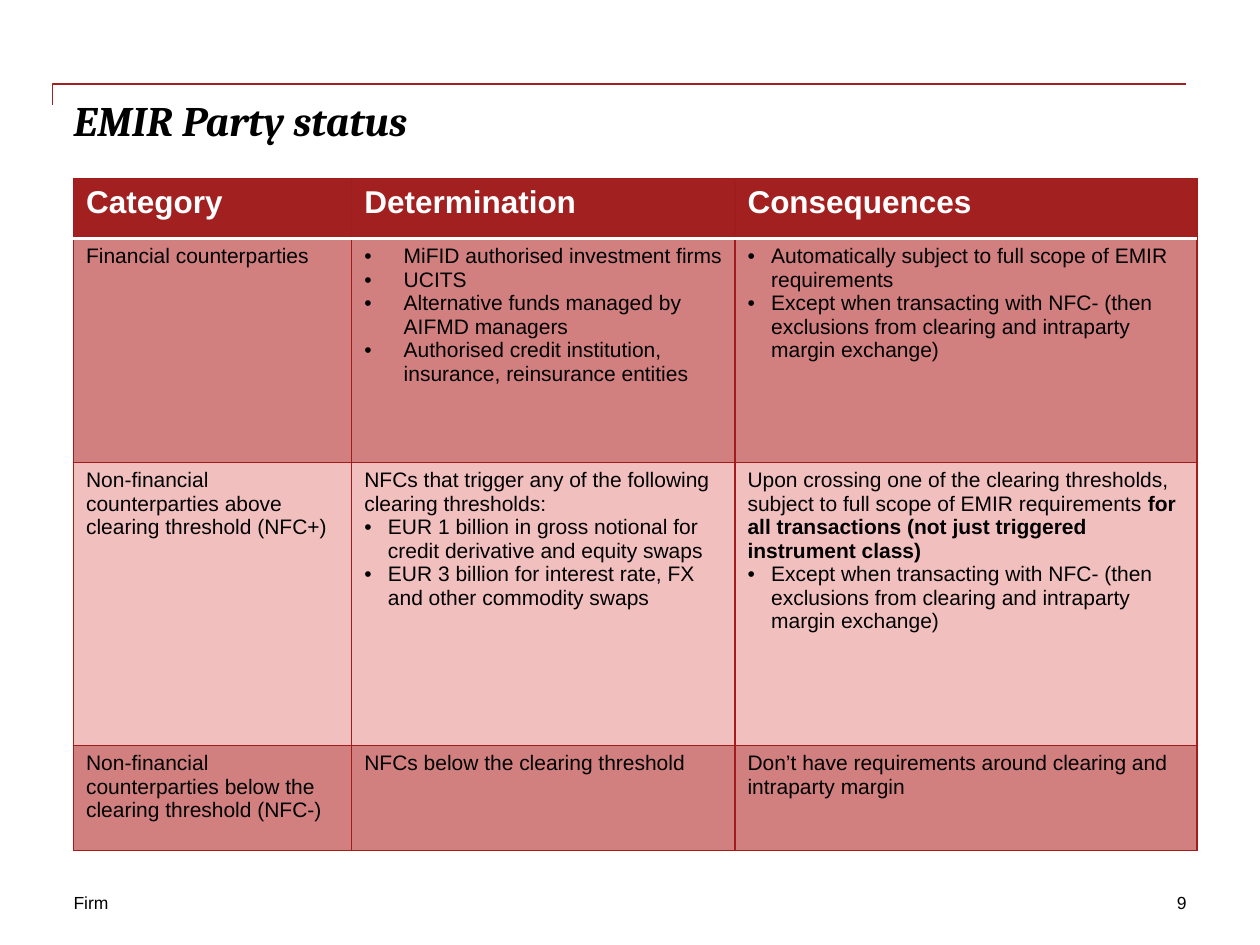
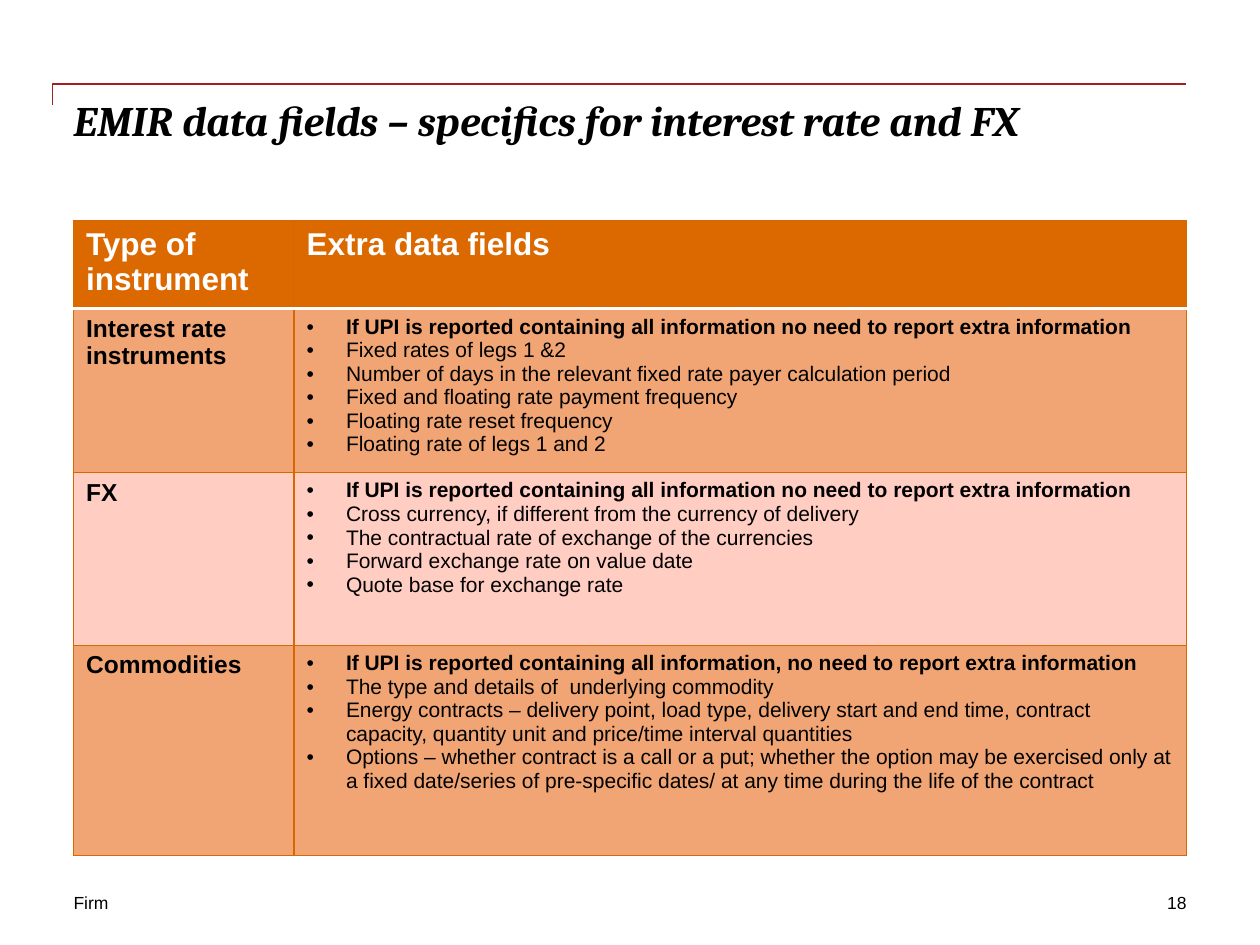
from lxml.etree import SubElement
from pptx import Presentation
from pptx.dml.color import RGBColor
from pptx.enum.text import PP_ALIGN
from pptx.oxml.ns import qn
from pptx.util import Pt

BLACK = RGBColor(0x00, 0x00, 0x00)
WHITE = RGBColor(0xFF, 0xFF, 0xFF)
RED = RGBColor(0xA3, 0x20, 0x20)
RED_BORDER = RGBColor(0xA3, 0x1C, 0x1C)
RED_BAND = RGBColor(0xD2, 0x7F, 0x7F)
RED_TINT = RGBColor(0xF2, 0xBF, 0xBF)
ORANGE = RGBColor(0xDC, 0x69, 0x00)
ORANGE_BORDER = RGBColor(0xD7, 0x67, 0x00)
ORANGE_BAND = RGBColor(0xF1, 0xA5, 0x74)
ORANGE_TINT = RGBColor(0xFF, 0xCD, 0xC2)

BODY_FONT = "Arial"
TITLE_FONT = "Cambria"
FOOTER = "Firm"
LEFT = 42
FLUSH, NARROW, WIDE = 0, 13.5, 22.5
UPI_NOTE = "If UPI is reported containing all information no need to report extra information"
NFC_EXCEPTION = (
    "Except when transacting with NFC- (then exclusions from clearing and intraparty margin exchange)"
)

# Each cell paragraph is (bullet indent, plain text, bold text).
PARTY_ROWS = [
    ("Financial counterparties", [
        [
            (WIDE, "MiFID authorised investment firms", ""),
            (WIDE, "UCITS", ""),
            (WIDE, "Alternative funds managed by AIFMD managers", ""),
            (WIDE, "Authorised credit institution, insurance, reinsurance entities", ""),
        ],
        [
            (NARROW, "Automatically subject to full scope of EMIR requirements", ""),
            (NARROW, NFC_EXCEPTION, ""),
        ],
    ]),
    ("Non-financial counterparties above clearing threshold (NFC+)", [
        [
            (FLUSH, "NFCs that trigger any of the following clearing thresholds:", ""),
            (NARROW, "EUR 1 billion in gross notional for credit derivative and equity swaps", ""),
            (NARROW, "EUR 3 billion for interest rate, FX and other commodity swaps", ""),
        ],
        [
            (FLUSH,
             "Upon crossing one of the clearing thresholds, subject to full scope of EMIR requirements ",
             "for all transactions (not just triggered instrument class)"),
            (NARROW, NFC_EXCEPTION, ""),
        ],
    ]),
    ("Non-financial counterparties below the clearing threshold (NFC-)", [
        [(FLUSH, "NFCs below the clearing threshold", "")],
        [(FLUSH, "Don’t have requirements around clearing and intraparty margin", "")],
    ]),
]

INSTRUMENT_ROWS = [
    ("Interest rate instruments", [[
        (WIDE, "", UPI_NOTE),
        (WIDE, "Fixed rates of legs 1 &2", ""),
        (WIDE, "Number of days in the relevant fixed rate payer calculation period", ""),
        (WIDE, "Fixed and floating rate payment frequency", ""),
        (WIDE, "Floating rate reset frequency", ""),
        (WIDE, "Floating rate of legs 1 and 2", ""),
    ]]),
    ("FX", [[
        (WIDE, "", UPI_NOTE),
        (WIDE, "Cross currency, if different from the currency of delivery", ""),
        (WIDE, "The contractual rate of exchange of the currencies", ""),
        (WIDE, "Forward exchange rate on value date", ""),
        (WIDE, "Quote base for exchange rate", ""),
    ]]),
    ("Commodities", [[
        (WIDE, "", UPI_NOTE.replace("information no", "information, no")),
        (WIDE, "The type and details of  underlying commodity", ""),
        (WIDE, "Energy contracts – delivery point, load type, delivery start and end time, "
               "contract capacity, quantity unit and price/time interval quantities", ""),
        (WIDE, "Options – whether contract is a call or a put; whether the option may be exercised "
               "only at a fixed date/series of pre-specific dates/ at any time during the life of "
               "the contract", ""),
    ]]),
]

SLIDES = [
    {
        "title": "EMIR Party status",
        "number": "9",
        "headings": ["Category", "Determination", "Consequences"],
        "rows": PARTY_ROWS,
        "label": (12, False),
        "top": 102,
        "widths": [159, 219, 264],
        "heights": [34.25, 128, 161.75, 60],
        "colors": (RED, RED_BORDER, RED_BAND, RED_TINT),
    },
    {
        "title": "EMIR data fields – specifics for interest rate and FX",
        "number": "18",
        "headings": ["Type of instrument", "Extra data fields"],
        "rows": INSTRUMENT_ROWS,
        "label": (14, True),
        "top": 126,
        "widths": [126, 510],
        "heights": [49.5, 91.75, 98.75, 120],
        "colors": (ORANGE, ORANGE_BORDER, ORANGE_BAND, ORANGE_TINT),
    },
]


def add_run(paragraph, text, size, color=BLACK, bold=False, italic=False, name=BODY_FONT):
    run = paragraph.add_run()
    run.text = text
    run.font.name = name
    run.font.size = Pt(size)
    run.font.bold = bold
    run.font.italic = italic
    run.font.color.rgb = color


def add_text(slide, left, top, width, height, text, size, align=PP_ALIGN.LEFT, **style):
    box = slide.shapes.add_textbox(Pt(left), Pt(top), Pt(width), Pt(height))
    frame = box.text_frame
    frame.word_wrap = True
    frame.margin_left = frame.margin_top = frame.margin_right = frame.margin_bottom = 0
    paragraph = frame.paragraphs[0]
    paragraph.alignment = align
    add_run(paragraph, text, size, **style)


def add_frame(slide, title, number):
    builder = slide.shapes.build_freeform(Pt(30), Pt(60))
    builder.add_line_segments([(Pt(30), Pt(48)), (Pt(678), Pt(48))], close=False)
    bracket = builder.convert_to_shape()
    bracket.shadow.inherit = False
    bracket.fill.background()
    bracket.line.color.rgb = RED
    bracket.line.width = Pt(1)
    add_text(slide, LEFT, 510, 204, 12, FOOTER, 10)
    add_text(slide, LEFT, 54, 636, 72, title, 24, bold=True, italic=True, name=TITLE_FONT)
    add_text(slide, 558, 510, 120, 12, number, 10, align=PP_ALIGN.RIGHT)


def set_bullet(paragraph, indent):
    properties = paragraph._p.get_or_add_pPr()
    properties.set("marL", str(Pt(indent)))
    properties.set("indent", str(-Pt(indent)))
    SubElement(properties, qn("a:buFont"), typeface=BODY_FONT)
    SubElement(properties, qn("a:buChar"), char="•")


def style_cell(cell, fill, border, white_edge):
    properties = cell._tc.get_or_add_tcPr()
    for edge in ("lnL", "lnR", "lnT", "lnB"):
        color, width = (WHITE, 2) if edge == white_edge else (border, 0.75)
        line = SubElement(properties, qn(f"a:{edge}"), w=str(Pt(width)))
        solid = SubElement(line, qn("a:solidFill"))
        SubElement(solid, qn("a:srgbClr"), val=str(color))
    cell.fill.solid()
    cell.fill.fore_color.rgb = fill


def fill_cell(cell, paragraphs):
    for index, (indent, plain, bold) in enumerate(paragraphs):
        frame = cell.text_frame
        paragraph = frame.add_paragraph() if index else frame.paragraphs[0]
        if indent:
            set_bullet(paragraph, indent)
        if plain:
            add_run(paragraph, plain, 12)
        if bold:
            add_run(paragraph, bold, 12, bold=True)


def add_grid(slide, content):
    widths, heights = content["widths"], content["heights"]
    header_fill, border, band, tint = content["colors"]
    label_size, label_bold = content["label"]
    table = slide.shapes.add_table(
        len(heights), len(widths), Pt(LEFT), Pt(content["top"]), Pt(sum(widths)), Pt(sum(heights))
    ).table
    for column, width in zip(table.columns, widths):
        column.width = Pt(width)
    for row, height in zip(table.rows, heights):
        row.height = Pt(height)
    for column, heading in enumerate(content["headings"]):
        cell = table.cell(0, column)
        style_cell(cell, header_fill, border, "lnB")
        add_run(cell.text_frame.paragraphs[0], heading, 18, WHITE, bold=True)
    for row, (label, details) in enumerate(content["rows"], 1):
        for column in range(len(widths)):
            style_cell(table.cell(row, column), band if row % 2 else tint, border,
                       "lnT" if row == 1 else None)
        add_run(table.cell(row, 0).text_frame.paragraphs[0], label, label_size, bold=label_bold)
        for column, paragraphs in enumerate(details, 1):
            fill_cell(table.cell(row, column), paragraphs)


def main():
    presentation = Presentation()
    presentation.slide_width = Pt(720)
    presentation.slide_height = Pt(540)
    for content in SLIDES:
        slide = presentation.slides.add_slide(presentation.slide_layouts[6])
        add_frame(slide, content["title"], content["number"])
        add_grid(slide, content)
    presentation.save("out.pptx")


if __name__ == "__main__":
    main()
